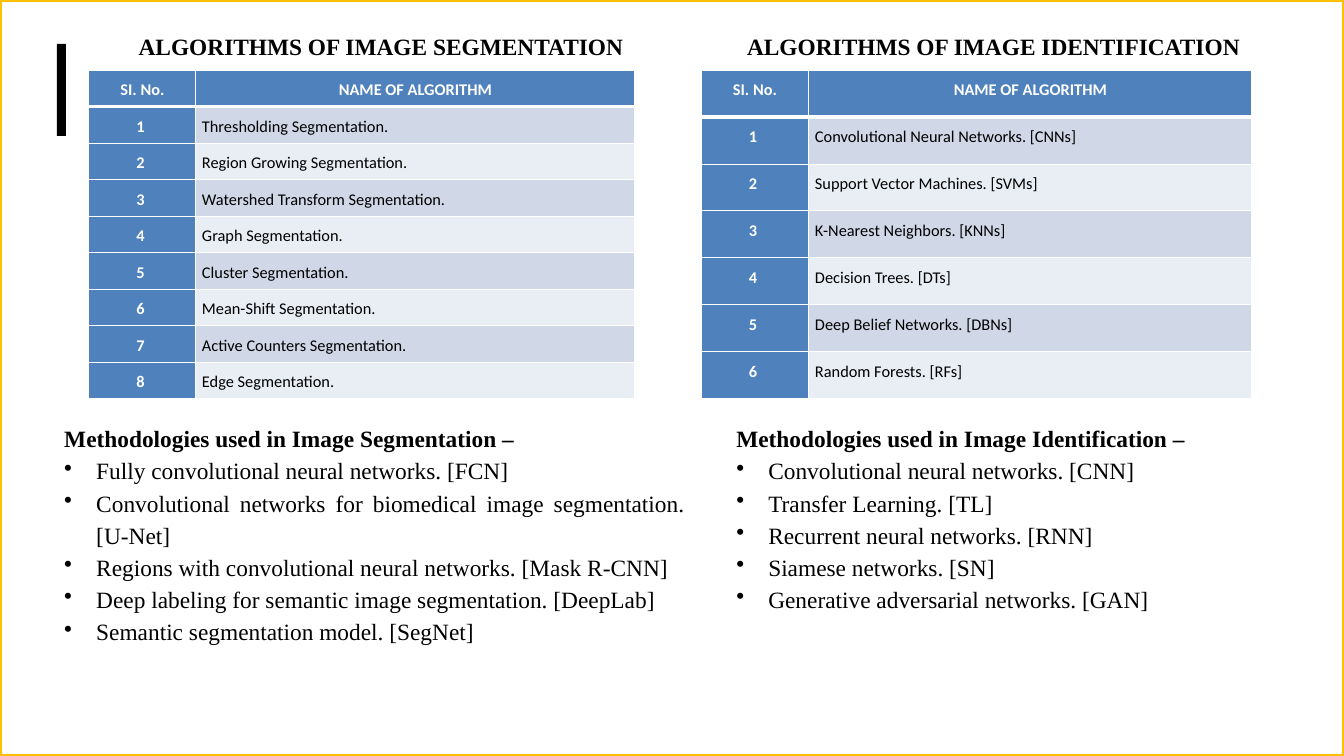
from dataclasses import dataclass

from lxml import etree
from pptx import Presentation
from pptx.dml.color import RGBColor
from pptx.enum.shapes import MSO_SHAPE
from pptx.enum.text import MSO_AUTO_SIZE, PP_ALIGN
from pptx.oxml.ns import qn
from pptx.slide import Slide
from pptx.table import _Cell
from pptx.text.text import TextFrame, _Paragraph
from pptx.util import Emu, Pt

WHITE = RGBColor(0xFF, 0xFF, 0xFF)
BLACK = RGBColor(0x00, 0x00, 0x00)
GOLD = RGBColor(0xFF, 0xC0, 0x00)
BLUE = RGBColor(0x4F, 0x81, 0xBD)
BANDS = (RGBColor(0xE9, 0xED, 0xF4), RGBColor(0xD0, 0xD8, 0xE8))

RECTANGLE = MSO_SHAPE.RECTANGLE
GROW = MSO_AUTO_SIZE.SHAPE_TO_FIT_TEXT
CENTER, JUSTIFY = PP_ALIGN.CENTER, PP_ALIGN.JUSTIFY

SERIF, SANS = "Times New Roman", "Calibri"
PX_PER_INCH = 84
TABLE_TOP, TABLE_HEIGHT = 70, 329
CELL_INSET = 6
BULLET_INDENT = 32


@dataclass
class Box:
    left: int
    top: int
    width: int
    height: int


@dataclass
class Topic:
    heading: str
    heading_box: Box
    table_left: int
    column_widths: tuple[int, int]
    algorithms: list[str]
    methods_heading: str
    methods_box: Box
    methods: list[str]


TOPICS = [
    Topic(
        "ALGORITHMS OF IMAGE SEGMENTATION", Box(83, 28, 596, 37), 89, (107, 439),
        ["Thresholding Segmentation.", "Region Growing Segmentation.",
         "Watershed Transform Segmentation.", "Graph Segmentation.",
         "Cluster Segmentation.", "Mean-Shift Segmentation.",
         "Active Counters Segmentation.", "Edge Segmentation."],
        "Methodologies used in Image Segmentation –", Box(56, 416, 637, 234),
        ["Fully convolutional neural networks. [FCN]",
         "Convolutional networks for biomedical image segmentation. [U-Net]",
         "Regions with convolutional neural networks. [Mask R-CNN]",
         "Deep labeling for semantic image segmentation. [DeepLab]",
         "Semantic segmentation model. [SegNet]"],
    ),
    Topic(
        "ALGORITHMS OF IMAGE IDENTIFICATION", Box(693, 28, 601, 37), 701, (108, 443),
        ["Convolutional Neural Networks. [CNNs]", "Support Vector Machines. [SVMs]",
         "K-Nearest Neighbors. [KNNs]", "Decision Trees. [DTs]",
         "Deep Belief Networks. [DBNs]", "Random Forests. [RFs]"],
        "Methodologies used in Image Identification –", Box(728, 416, 551, 202),
        ["Convolutional neural networks. [CNN]", "Transfer Learning. [TL]",
         "Recurrent neural networks. [RNN]", "Siamese networks. [SN]",
         "Generative adversarial networks. [GAN]"],
    ),
]


def px(length: float) -> Emu:
    return Emu(round(length * 914400 / PX_PER_INCH))


def place(box: Box) -> tuple[Emu, Emu, Emu, Emu]:
    return px(box.left), px(box.top), px(box.width), px(box.height)


def style(paragraph: _Paragraph, font_name: str, size: int, color: RGBColor,
          bold: bool, alignment: PP_ALIGN) -> None:
    paragraph.alignment = alignment
    font = paragraph.font
    font.name, font.size, font.bold = font_name, Pt(size), bold
    font.color.rgb = color


def add_rectangle(slide: Slide, box: Box, color: RGBColor):
    shape = slide.shapes.add_shape(RECTANGLE, *place(box))
    shape.shadow.inherit = False
    shape.fill.solid()
    shape.fill.fore_color.rgb = color
    shape.line.fill.background()
    return shape


def add_frame(slide: Slide) -> None:
    frame = add_rectangle(slide, Box(0, 0, 1344, 756), WHITE)
    fill_color = frame.fill._xPr.find(f"{qn('a:solidFill')}/{qn('a:srgbClr')}")
    etree.SubElement(fill_color, qn("a:alpha"), val="49000")
    frame.line.color.rgb = GOLD
    frame.line.width = Pt(3)


def add_text_frame(slide: Slide, box: Box) -> TextFrame:
    text_frame = slide.shapes.add_textbox(*place(box)).text_frame
    text_frame.word_wrap = True
    text_frame.auto_size = GROW
    return text_frame


def set_borders(cell: _Cell, row: int) -> None:
    # A thick rule separates the header from the body
    points = {"L": 1, "R": 1, "T": 3 if row == 1 else 1, "B": 3 if row == 0 else 1}
    properties = cell._tc.get_or_add_tcPr()
    for side, width in points.items():
        line = etree.SubElement(properties, qn(f"a:ln{side}"), w=str(Pt(width)))
        fill = etree.SubElement(line, qn("a:solidFill"))
        etree.SubElement(fill, qn("a:srgbClr"), val=str(WHITE))


def fill_cell(cell: _Cell, text: str, row: int, column: int) -> None:
    is_header = row == 0 or column == 0
    set_borders(cell, row)
    cell.fill.solid()
    cell.fill.fore_color.rgb = BLUE if is_header else BANDS[row % 2]
    cell.margin_left = cell.margin_right = px(CELL_INSET)
    cell.margin_top = cell.margin_bottom = 0
    paragraph = cell.text_frame.paragraphs[0]
    paragraph.text = text
    paragraph.line_spacing = 1.5
    paragraph.space_after = Pt(8)
    style(paragraph, SANS, 14, WHITE if is_header else BLACK, is_header,
          CENTER if is_header else JUSTIFY)


def add_algorithm_table(slide: Slide, topic: Topic) -> None:
    rows = [("SI. No.", "NAME OF ALGORITHM")]
    rows += [(f"{number} ", name) for number, name in enumerate(topic.algorithms, 1)]
    box = Box(topic.table_left, TABLE_TOP, sum(topic.column_widths), TABLE_HEIGHT)
    table = slide.shapes.add_table(len(rows), 2, *place(box)).table
    for column, width in zip(table.columns, topic.column_widths):
        column.width = px(width)
    for row_index, texts in enumerate(rows):
        table.rows[row_index].height = px(TABLE_HEIGHT / len(rows))
        for column_index, text in enumerate(texts):
            fill_cell(table.cell(row_index, column_index), text, row_index, column_index)


def add_bullet(paragraph: _Paragraph) -> None:
    properties = paragraph._p.get_or_add_pPr()
    properties.set("marL", str(px(BULLET_INDENT)))
    properties.set("indent", str(-px(BULLET_INDENT)))
    etree.SubElement(properties, qn("a:buChar"), char="•")


def add_heading(slide: Slide, topic: Topic) -> None:
    paragraph = add_text_frame(slide, topic.heading_box).paragraphs[0]
    paragraph.text = topic.heading
    style(paragraph, SERIF, 20, BLACK, True, CENTER)


def add_methods(slide: Slide, topic: Topic) -> None:
    text_frame = add_text_frame(slide, topic.methods_box)
    heading = text_frame.paragraphs[0]
    heading.text = topic.methods_heading
    heading.line_spacing = 1.15
    style(heading, SERIF, 20, BLACK, True, JUSTIFY)
    for method in topic.methods:
        paragraph = text_frame.add_paragraph()
        paragraph.text = method
        paragraph.line_spacing = 1.15
        add_bullet(paragraph)
        style(paragraph, SERIF, 20, BLACK, False, JUSTIFY)
    text_frame.paragraphs[-1].space_after = Pt(8)


def main() -> None:
    presentation = Presentation()
    presentation.slide_width, presentation.slide_height = px(1344), px(756)
    slide = presentation.slides.add_slide(presentation.slide_layouts[6])

    # Gold frame and black accent bar
    add_frame(slide)
    add_rectangle(slide, Box(57, 44, 9, 92), BLACK)

    # Heading, table and methods for each topic
    for topic in TOPICS:
        add_algorithm_table(slide, topic)
        add_heading(slide, topic)
        add_methods(slide, topic)

    presentation.save("out.pptx")


if __name__ == "__main__":
    main()
